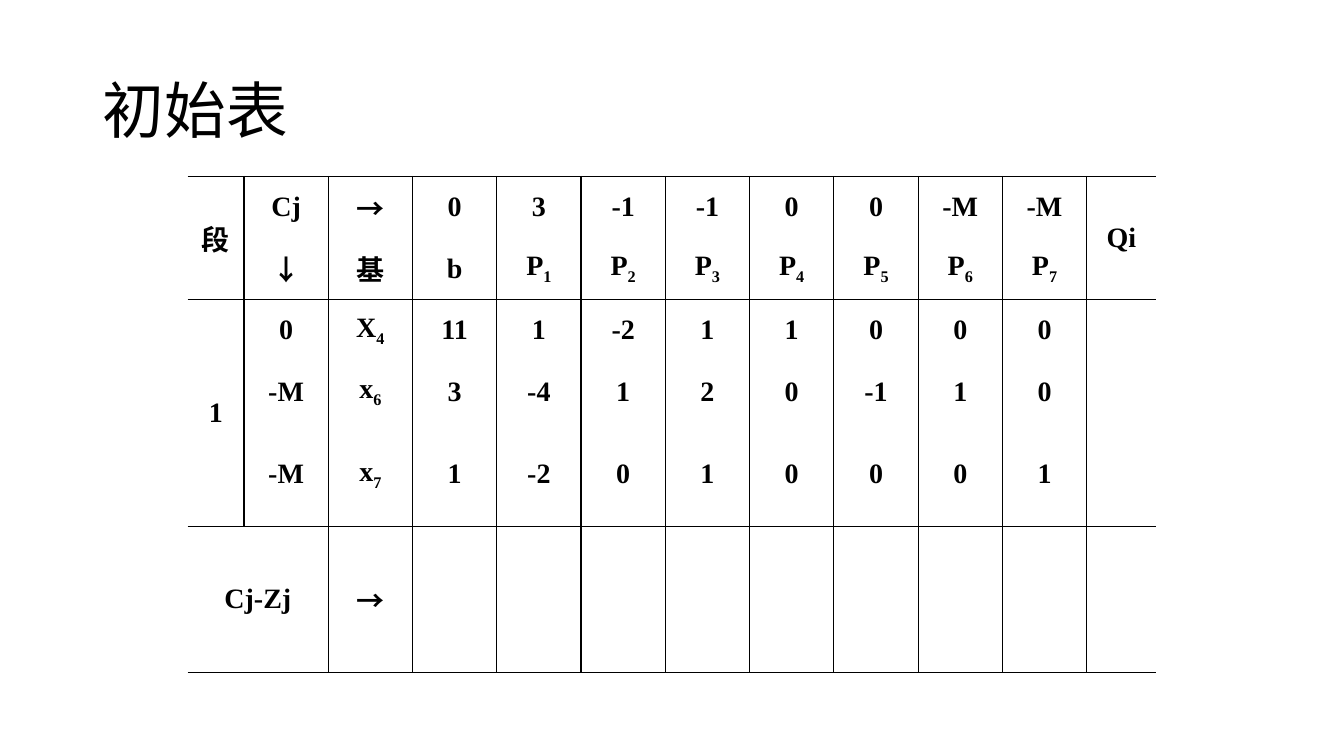
from lxml import etree
from pptx import Presentation
from pptx.dml.color import RGBColor
from pptx.enum import text
from pptx.oxml import ns
from pptx.util import Inches, Pt

COLORS = {"ink": "000000"}
LATIN, CJK = "Times New Roman", "Noto Sans CJK SC"

# An underscore marks the start of a subscript.
TABLEAU = [
    ["段", "Cj", "→", "0", "3", "-1", "-1", "0", "0", "-M", "-M", "Qi"],
    ["", "↓", "基", "b", "P_1", "P_2", "P_3", "P_4", "P_5", "P_6", "P_7", ""],
    ["1", "0", "X_4", "11", "1", "-2", "1", "1", "0", "0", "0", ""],
    ["", "-M", "x_6", "3", "-4", "1", "2", "0", "-1", "1", "0", ""],
    ["", "-M", "x_7", "1", "-2", "0", "1", "0", "0", "0", "1", ""],
    ["Cj-Zj", "", "→"] + [""] * 9,
]
ROW_HEIGHTS = [0.61] * 4 + [1.03, 1.45]
LEFT, TOP, WIDTH = 1.86, 1.75, 9.61
STAGE_WIDTH, RATIO_WIDTH = 0.56, 0.69
MERGES = [((0, 0), (1, 0)), ((0, 11), (1, 11)), ((2, 0), (4, 0)), ((5, 0), (5, 1))]
RULED_ROWS = {0, 2, 5, 6}  # row boundaries that carry a horizontal line


def set_font(paragraph, latin, size, bold=False):
    font = paragraph.font
    font.name, font.size, font.bold = latin, Pt(size), bold
    font.color.rgb = RGBColor.from_string(COLORS["ink"])
    latin_element = paragraph._p.pPr.find(".//" + ns.qn("a:latin"))
    east_asian = etree.Element(ns.qn("a:ea"), typeface=CJK)
    latin_element.addnext(east_asian)


def write_cell(cell, label):
    cell.vertical_anchor = text.MSO_ANCHOR.MIDDLE
    paragraph = cell.text_frame.paragraphs[0]
    paragraph.alignment = text.PP_ALIGN.CENTER
    hanging = Inches(0.38)
    paragraph._p.pPr.set("marL", str(hanging))
    paragraph._p.pPr.set("indent", str(-hanging))
    base, _, subscript = label.partition("_")
    paragraph.add_run().text = base
    if subscript:
        run = paragraph.add_run()
        run.text = subscript
        run.font._element.set("baseline", "-25000")
    set_font(paragraph, LATIN if label.isascii() else CJK, 20, bold=True)


def set_borders(cell, visible):
    """Draw the sides named in visible (L, R, T, B) and blank the others."""
    properties = cell._tc.get_or_add_tcPr()
    for position, side in enumerate("LRTB"):
        line = etree.Element(ns.qn(f"a:ln{side}"), w=str(Pt(1)))
        if side in visible:
            fill = etree.SubElement(line, ns.qn("a:solidFill"))
            etree.SubElement(fill, ns.qn("a:srgbClr"), val=COLORS["ink"])
        else:
            etree.SubElement(line, ns.qn("a:noFill"))
        properties.insert(position, line)


def visible_sides(cell, row, column, column_count):
    bottom = row + cell.span_height if cell.is_merge_origin else row + 1
    right = column + cell.span_width if cell.is_merge_origin else column + 1
    return {
        side
        for side, shown in {
            "L": column > 0,
            "R": right < column_count,
            "T": row in RULED_ROWS,
            "B": bottom in RULED_ROWS,
        }.items()
        if shown
    }


def add_tableau(slide):
    row_count, column_count = len(TABLEAU), len(TABLEAU[0])
    table = slide.shapes.add_table(
        row_count, column_count, Inches(LEFT), Inches(TOP),
        Inches(WIDTH), Inches(sum(ROW_HEIGHTS)),
    ).table
    table.first_row = table.horz_banding = False
    inner_width = (WIDTH - STAGE_WIDTH - RATIO_WIDTH) / (column_count - 2)
    widths = [STAGE_WIDTH] + [inner_width] * (column_count - 2) + [RATIO_WIDTH]
    for column, width in zip(table.columns, widths):
        column.width = Inches(width)
    for row, height in zip(table.rows, ROW_HEIGHTS):
        row.height = Inches(height)
    for first, last in MERGES:
        table.cell(*first).merge(table.cell(*last))
    for r, labels in enumerate(TABLEAU):
        for c, label in enumerate(labels):
            cell = table.cell(r, c)
            cell.fill.background()
            if cell.is_spanned:
                continue
            set_borders(cell, visible_sides(cell, r, c, column_count))
            if label:
                write_cell(cell, label)


def add_title(slide, wording):
    title = slide.shapes.title
    title.left, title.top = Inches(0.92), Inches(0.4)
    title.width, title.height = Inches(11.5), Inches(1.45)
    title.text_frame.text = wording
    title.text_frame.vertical_anchor = text.MSO_ANCHOR.MIDDLE
    paragraph = title.text_frame.paragraphs[0]
    paragraph.alignment = text.PP_ALIGN.LEFT
    paragraph.line_spacing = 0.9
    set_font(paragraph, "Calibri", 44)


def main():
    presentation = Presentation()
    presentation.slide_width, presentation.slide_height = Inches(13.33), Inches(7.5)
    slide = presentation.slides.add_slide(presentation.slide_layouts[5])
    add_tableau(slide)
    add_title(slide, "初始表")
    presentation.save("out.pptx")


if __name__ == "__main__":
    main()
